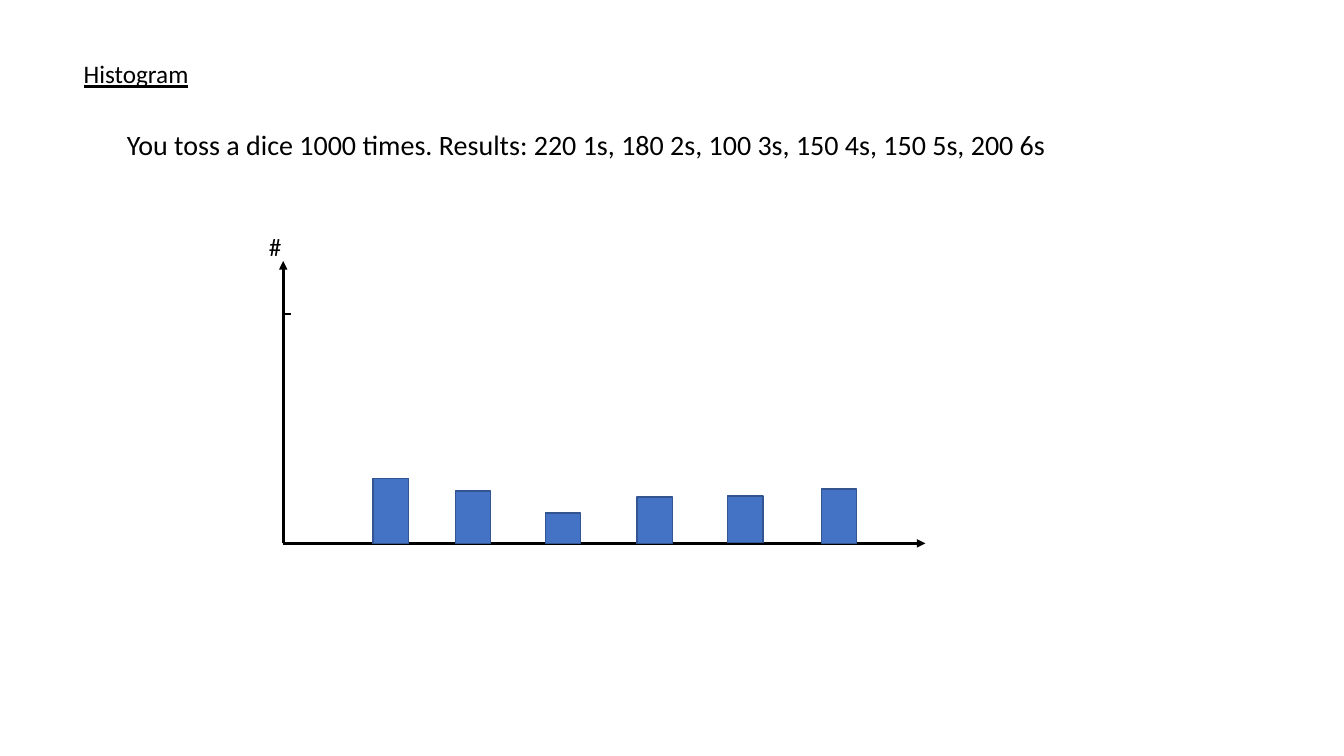
from dataclasses import dataclass

import pptx
import pptx.dml.color
import pptx.enum.shapes
import pptx.enum.text
import pptx.oxml.ns
import pptx.oxml.xmlchemy
import pptx.slide
import pptx.util
from lxml import etree


@dataclass(frozen=True)
class Theme:
    font: str = "Calibri"
    ink: str = "000000"
    bar_fill: str = "4472C4"
    bar_edge: str = "325491"
    label_size: float = 18
    sentence_size: float = 20
    axis_weight: float = 2
    tick_weight: float = 1.5
    edge_weight: float = 1


@dataclass(frozen=True)
class Label:
    text: str
    left: float
    top: float
    width: float
    height: float
    size: float
    underline: bool = False


@dataclass(frozen=True)
class Stroke:
    start: tuple[float, float]
    end: tuple[float, float]
    weight: float
    arrow: bool = False


@dataclass(frozen=True)
class Bar:
    left: float
    height: float
    lift: float = 0


THEME = Theme()
ORIGIN_X = 202.3
BASELINE = 388.1
TICK_Y = 224.6
BAR_WIDTH = 25.2

LABELS = [
    Label("You toss a dice 1000 times. Results: 220 1s, 180 2s, 100 3s, 150 4s, 150 5s, 200 6s",
          83.5, 87.8, 703.4, 31.5, THEME.sentence_size),
    Label("Histogram", 52.6, 38.2, 149.8, 29, THEME.label_size, underline=True),
    Label("#", 185, 162, 33.8, 29, THEME.label_size),
]
STROKES = [
    Stroke((ORIGIN_X, BASELINE), (661, BASELINE), THEME.axis_weight, arrow=True),
    Stroke((ORIGIN_X, BASELINE), (ORIGIN_X, 186.5), THEME.axis_weight, arrow=True),
    Stroke((ORIGIN_X, TICK_Y), (208.1, TICK_Y), THEME.tick_weight),
]
BARS = [
    Bar(266.4, 46.1),
    Bar(325.4, 37.4),
    Bar(389.5, 21.6),
    Bar(455, 33.1),
    Bar(519.8, 33.1, lift=0.7),
    Bar(586.8, 38.9),
]


def rgb(value: str) -> pptx.dml.color.RGBColor:
    return pptx.dml.color.RGBColor.from_string(value)


def draw_label(slide: pptx.slide.Slide, label: Label) -> None:
    box = slide.shapes.add_textbox(
        pptx.util.Pt(label.left), pptx.util.Pt(label.top),
        pptx.util.Pt(label.width), pptx.util.Pt(label.height))
    frame = box.text_frame
    frame.word_wrap = True
    frame.auto_size = pptx.enum.text.MSO_AUTO_SIZE.SHAPE_TO_FIT_TEXT
    paragraph = frame.paragraphs[0]
    paragraph.text = label.text
    paragraph.font.name = THEME.font
    paragraph.font.size = pptx.util.Pt(label.size)
    paragraph.font.color.rgb = rgb(THEME.ink)
    if label.underline:
        paragraph.font.underline = True


def draw_stroke(slide: pptx.slide.Slide, stroke: Stroke) -> None:
    connector = slide.shapes.add_connector(
        pptx.enum.shapes.MSO_CONNECTOR.STRAIGHT,
        *(pptx.util.Pt(value) for value in (*stroke.start, *stroke.end)))
    connector.line.color.rgb = rgb(THEME.ink)
    connector.line.width = pptx.util.Pt(stroke.weight)
    properties = connector.element.spPr
    if stroke.arrow:
        outline = properties.find(pptx.oxml.ns.qn("a:ln"))
        etree.SubElement(outline, pptx.oxml.ns.qn("a:tailEnd"), type="triangle")
    etree.SubElement(properties, pptx.oxml.ns.qn("a:effectLst"))


def draw_bar(slide: pptx.slide.Slide, bar: Bar) -> None:
    column = slide.shapes.add_shape(
        pptx.enum.shapes.MSO_SHAPE.RECTANGLE,
        pptx.util.Pt(bar.left), pptx.util.Pt(BASELINE - bar.lift - bar.height),
        pptx.util.Pt(BAR_WIDTH), pptx.util.Pt(bar.height))
    column.shadow.inherit = False
    column.fill.solid()
    column.fill.fore_color.rgb = rgb(THEME.bar_fill)
    column.line.color.rgb = rgb(THEME.bar_edge)
    column.line.width = pptx.util.Pt(THEME.edge_weight)


def main() -> None:
    deck = pptx.Presentation()
    deck.slide_width = pptx.util.Pt(960)
    deck.slide_height = pptx.util.Pt(540)
    slide = deck.slides.add_slide(deck.slide_layouts[6])
    for label in LABELS:
        draw_label(slide, label)
    for stroke in STROKES:
        draw_stroke(slide, stroke)
    for bar in BARS:
        draw_bar(slide, bar)
    deck.save("out.pptx")


if __name__ == "__main__":
    main()
